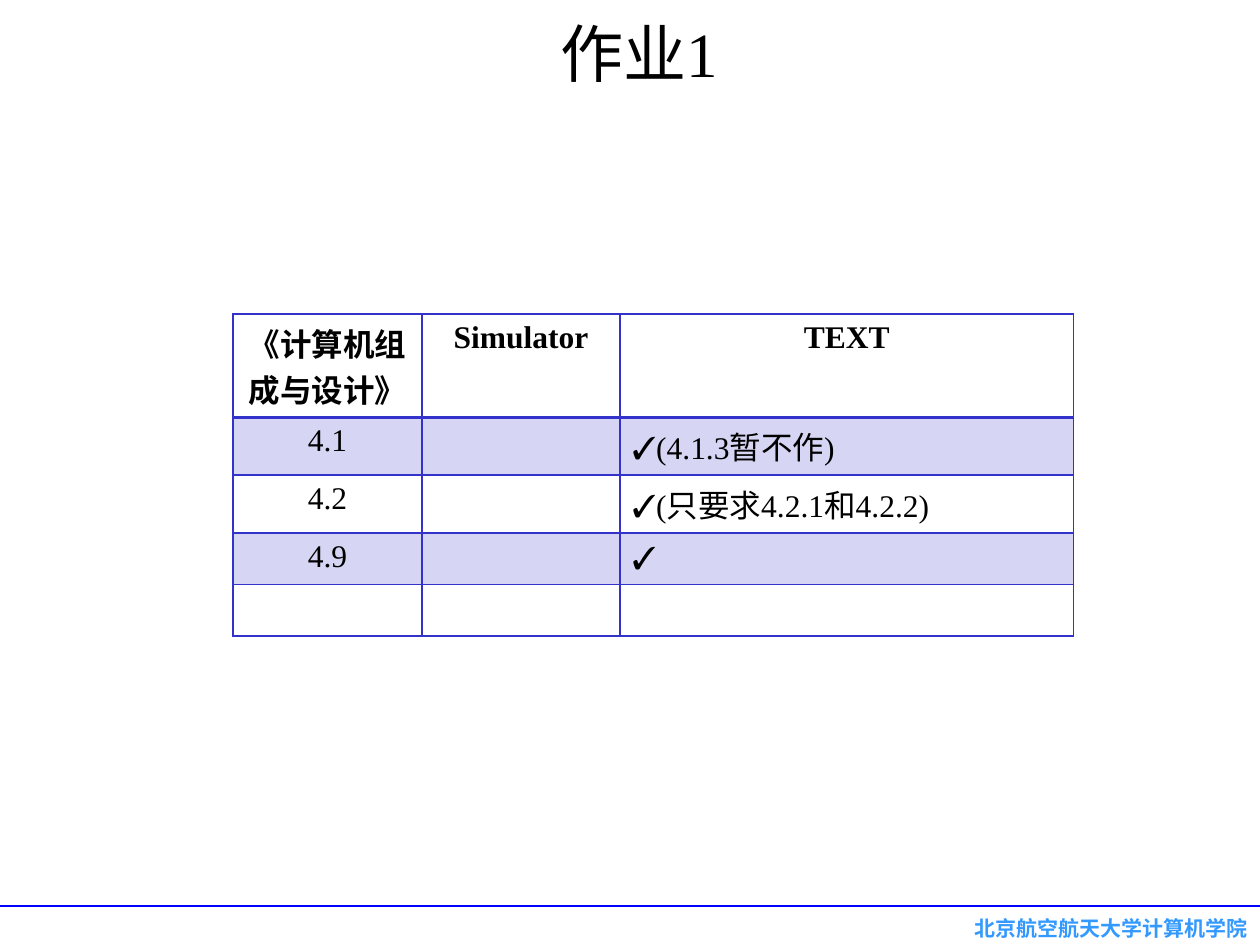
from lxml import etree
from pptx import Presentation, util as u
from pptx.dml import color
from pptx.enum import shapes, text
from pptx.oxml import ns

LATIN, CJK = "Times New Roman", "Noto Sans CJK SC"
WIDTH, HEIGHT = 10, 7.5
BORDER = "3333CC"
COLUMNS = [1.5, 1.57, 3.6]
ROW_HEIGHTS = [0.82, 0.46, 0.46, 0.41, 0.41]
ROWS = [
    ["《计算机组成与设计》", "Simulator", "TEXT"],
    ["4.1", "", "✓(4.1.3暂不作)"],
    ["4.2", "", "✓(只要求4.2.1和4.2.2)"],
    ["4.9", "", "✓"],
    ["", "", ""],
]


def rgb(value):
    """Turn a hex string into a colour."""
    return color.RGBColor.from_string(value)


def add_child(parent, tag, **attributes):
    """Append a DrawingML element to its parent."""
    return etree.SubElement(parent, ns.qn(tag), **attributes)


def write(frame, content, size, align, font=LATIN, fill="000000", bold=False):
    """Fill a text frame with one formatted paragraph."""
    frame.text = content
    paragraph = frame.paragraphs[0]
    paragraph.alignment = align
    paragraph.font.size = u.Pt(size)
    for run in paragraph.runs:
        run.font.size = u.Pt(size)
        run.font.name = font
        run.font.bold = bold
        run.font.color.rgb = rgb(fill)
        add_child(run.font._element, "a:ea", typeface=CJK)


def add_text(slide, box, content, size, align, anchor, margin, **style):
    """Add a wrapped text box."""
    shape = slide.shapes.add_textbox(*map(u.Inches, box))
    frame = shape.text_frame
    frame.word_wrap = True
    frame.vertical_anchor = anchor
    frame.margin_top = frame.margin_bottom = u.Inches(margin)
    write(frame, content, size, align, **style)


def add_rule(slide, top):
    """Draw the blue rule across the slide."""
    ends = [u.Inches(n) for n in (WIDTH, top, 0, top)]
    line = slide.shapes.add_connector(shapes.MSO_CONNECTOR.STRAIGHT, *ends)
    line.line.color.rgb = rgb("0000FF")
    line.line.width = u.Pt(1.5)
    add_child(line._element.spPr, "a:effectLst")


def add_borders(cell, top, bottom):
    """Outline a cell, with its own top and bottom widths in points."""
    properties = cell._tc.get_or_add_tcPr()
    for side, width in (("L", 1), ("R", 1), ("T", top), ("B", bottom)):
        line = add_child(properties, f"a:ln{side}", w=str(u.Pt(width)))
        add_child(add_child(line, "a:solidFill"), "a:srgbClr", val=BORDER)


def fill_cell(cell, banded):
    """Tint a banded cell and leave the others clear."""
    if not banded:
        cell.fill.background()
        return
    cell.fill.solid()
    cell.fill.fore_color.rgb = rgb(BORDER)
    tint = cell._tc.tcPr.find(f"{ns.qn('a:solidFill')}/{ns.qn('a:srgbClr')}")
    add_child(tint, "a:alpha", val="20000")


def add_homework_table(slide, left, top):
    """Build the table of exercises."""
    box = map(u.Inches, (left, top, sum(COLUMNS), sum(ROW_HEIGHTS)))
    table = slide.shapes.add_table(len(ROWS), len(COLUMNS), *box).table
    table.horz_banding = False
    table.first_row = False
    for column, width in zip(table.columns, COLUMNS):
        column.width = u.Inches(width)
    for row, height in zip(table.rows, ROW_HEIGHTS):
        row.height = u.Inches(height)
    for r, values in enumerate(ROWS):
        for c, value in enumerate(values):
            cell = table.cell(r, c)
            is_note = r > 0 and c == 2
            align = text.PP_ALIGN.JUSTIFY if is_note else text.PP_ALIGN.CENTER
            write(cell.text_frame, value, 18, align, bold=r == 0)
            if is_note:
                cell.vertical_anchor = text.MSO_ANCHOR.MIDDLE
            add_borders(cell, 2 if r == 1 else 1, 2 if r == 0 else 1)
            fill_cell(cell, r % 2 == 1)


def main():
    """Build and save the slide."""
    presentation = Presentation()
    presentation.slide_width = u.Inches(WIDTH)
    presentation.slide_height = u.Inches(HEIGHT)
    slide = presentation.slides.add_slide(presentation.slide_layouts[6])
    add_text(slide, (4.53, 7.27, 5.47, 0.2), "北京航空航天大学计算机学院", 12,
             text.PP_ALIGN.RIGHT, text.MSO_ANCHOR.TOP, 0,
             font=CJK, fill="3399FF", bold=True)
    add_rule(slide, 7.19)
    add_text(slide, (0.23, 0.05, 9.69, 0.73), "作业1", 36,
             text.PP_ALIGN.CENTER, text.MSO_ANCHOR.MIDDLE, 0.05)
    add_homework_table(slide, 1.85, 2.49)
    presentation.save("out.pptx")


if __name__ == "__main__":
    main()
